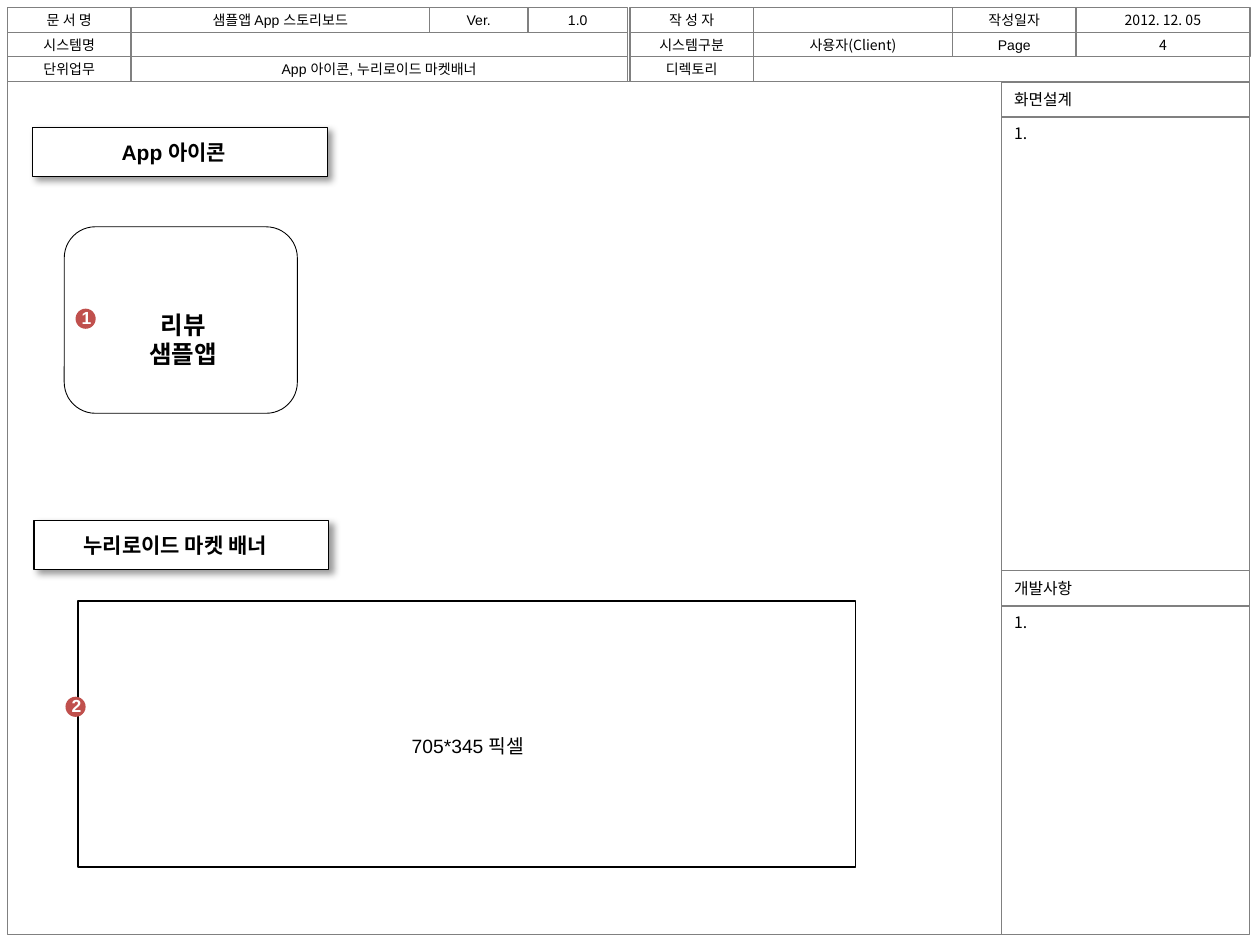
from lxml import etree
from pptx import Presentation
from pptx.dml.color import RGBColor
from pptx.enum.shapes import MSO_SHAPE
from pptx.enum.text import MSO_ANCHOR, PP_ALIGN
from pptx.oxml.ns import qn
from pptx.util import Inches, Pt

RECT, ROUNDED, OVAL = MSO_SHAPE.RECTANGLE, MSO_SHAPE.ROUNDED_RECTANGLE, MSO_SHAPE.OVAL
LEFT, CENTER = PP_ALIGN.LEFT, PP_ALIGN.CENTER
TOP, MIDDLE = MSO_ANCHOR.TOP, MSO_ANCHOR.MIDDLE
LATIN, KOREAN = "Arial", "Noto Sans CJK KR"
BLACK, WHITE, GRAY, RED = "000000", "FFFFFF", "808080", "C0504D"

FRAME_LEFT, FRAME_RIGHT, FRAME_BOTTOM = 0.06, 9.92, 7.42
SIDEBAR_LEFT, BODY_TOP, HEADING_HEIGHT = 7.95, 0.65, 0.28
ROW_EDGES = [0.06, 0.26, 0.45, BODY_TOP]
COLUMN_EDGES = [FRAME_LEFT, 1.04, 3.41, 4.19, 4.98, 5, 5.98, 7.56, 8.54, FRAME_RIGHT]

HEADER_CELLS = [
    (0, 0, 1, "문 서 명", LATIN),
    (0, 1, 2, "샘플앱 App 스토리보드", LATIN),
    (0, 2, 3, "Ver.", LATIN),
    (0, 3, 4, "1.0", LATIN),
    (0, 5, 6, "작 성 자", LATIN),
    (0, 6, 7, "", LATIN),
    (0, 7, 8, "작성일자", LATIN),
    (0, 8, 9, "2012. 12. 05", KOREAN),
    (1, 0, 1, "시스템명", LATIN),
    (1, 1, 4, "", LATIN),
    (1, 5, 6, "시스템구분", LATIN),
    (1, 6, 7, "사용자(Client)", KOREAN),
    (1, 7, 8, "Page", LATIN),
    (1, 8, 9, "4", KOREAN),
    (2, 0, 1, "단위업무", LATIN),
    (2, 1, 4, "App 아이콘, 누리로이드 마켓배너", LATIN),
    (2, 5, 6, "디렉토리", LATIN),
    (2, 6, 9, "", LATIN),
]


def color(hex_code):
    return RGBColor.from_string(hex_code)


def write(box, text, size, font=LATIN, bold=False, align=CENTER, anchor=MIDDLE, ink=BLACK):
    frame = box.text_frame
    frame.word_wrap = True
    frame.vertical_anchor = anchor
    frame.text = text
    for paragraph in frame.paragraphs:
        paragraph.alignment = align
        for run in paragraph.runs:
            run.font.size, run.font.bold, run.font.name = Pt(size), bold, font
            run.font.color.rgb = color(ink)
            latin = run.font._element.find(qn("a:latin"))
            east_asian = etree.Element(qn("a:ea"), typeface=KOREAN)
            latin.addnext(east_asian)


def draw(shapes, kind, left, top, width, height, fill=None, line=None, weight=0.75):
    outline = shapes.add_shape(kind, Inches(left), Inches(top), Inches(width), Inches(height))
    outline.shadow.inherit = False
    if fill:
        outline.fill.solid()
        outline.fill.fore_color.rgb = color(fill)
    else:
        outline.fill.background()
    if line:
        outline.line.color.rgb = color(line)
        outline.line.width = Pt(weight)
    else:
        outline.line.fill.background()
    return outline


def add_label(shapes, left, top, width, height, text, size, **style):
    label = shapes.add_textbox(Inches(left), Inches(top), Inches(width), Inches(height))
    write(label, text, size, anchor=TOP, **style)


def add_header(shapes):
    for row, start, end, text, font in HEADER_CELLS:
        left, top = COLUMN_EDGES[start], ROW_EDGES[row]
        cell = draw(shapes, RECT, left, top, COLUMN_EDGES[end] - left,
                    ROW_EDGES[row + 1] - top, line=GRAY)
        if text:
            write(cell, text, 8, font)


def add_sidebar_section(shapes, top, bottom, title):
    width = FRAME_RIGHT - SIDEBAR_LEFT
    heading = draw(shapes, RECT, SIDEBAR_LEFT, top, width, HEADING_HEIGHT, line=GRAY)
    write(heading, title, 9, align=LEFT)
    notes_top = top + HEADING_HEIGHT
    notes = draw(shapes, RECT, SIDEBAR_LEFT, notes_top, width, bottom - notes_top, line=GRAY)
    write(notes, "1.", 9, KOREAN, align=LEFT, anchor=TOP)
    hanging = notes.text_frame.paragraphs[0]._p.get_or_add_pPr()
    hanging.set("marL", str(Inches(0.38)))
    hanging.set("indent", str(-Inches(0.38)))


def add_section_title(shapes, left, top, text):
    title = draw(shapes, RECT, left, top, 2.34, 0.39, fill=WHITE, line=BLACK)
    title.text_frame.margin_left = 0
    write(title, text, 12, bold=True)
    effects = title._element.spPr.find(qn("a:effectLst"))
    shadow = etree.SubElement(effects, qn("a:outerShdw"), blurRad=str(Pt(4)),
                              dist=str(Pt(3)), dir=str(45 * 60000), algn="tl", rotWithShape="0")
    tint = etree.SubElement(shadow, qn("a:srgbClr"), val=BLACK)
    etree.SubElement(tint, qn("a:alpha"), val="40000")


def add_badge(shapes, left, top, number):
    badge = shapes.add_group_shape().shapes
    draw(badge, OVAL, left, top, 0.16, 0.16, fill=RED)
    add_label(badge, left - 0.05, top - 0.06, 0.55, 0.27, number, 10,
              bold=True, align=LEFT, ink=WHITE)


def main():
    deck = Presentation()
    deck.slide_width, deck.slide_height = Inches(10), Inches(7.5)
    shapes = deck.slides.add_slide(deck.slide_layouts[6]).shapes

    draw(shapes, RECT, FRAME_LEFT, BODY_TOP, SIDEBAR_LEFT - FRAME_LEFT,
         FRAME_BOTTOM - BODY_TOP, line=GRAY)
    add_header(shapes)
    add_sidebar_section(shapes, BODY_TOP, 4.53, "화면설계")
    add_sidebar_section(shapes, 4.53, FRAME_BOTTOM, "개발사항")

    add_section_title(shapes, 0.26, 1.01, "App 아이콘")
    draw(shapes, ROUNDED, 0.51, 1.8, 1.85, 1.48, line=BLACK, weight=0.5)
    add_label(shapes, 0.67, 2.41, 1.57, 0.57, "리뷰\n샘플앱", 14, bold=True)
    add_badge(shapes, 0.6, 2.45, "1")

    add_section_title(shapes, 0.27, 4.13, "누리로이드 마켓 배너")
    draw(shapes, RECT, 0.62, 4.77, 6.17, 2.11, fill=WHITE, line=BLACK, weight=1)
    add_label(shapes, 2.66, 5.78, 2.11, 0.47, "705*345 픽셀", 11)
    add_badge(shapes, 0.52, 5.53, "2")

    deck.save("out.pptx")


if __name__ == "__main__":
    main()
